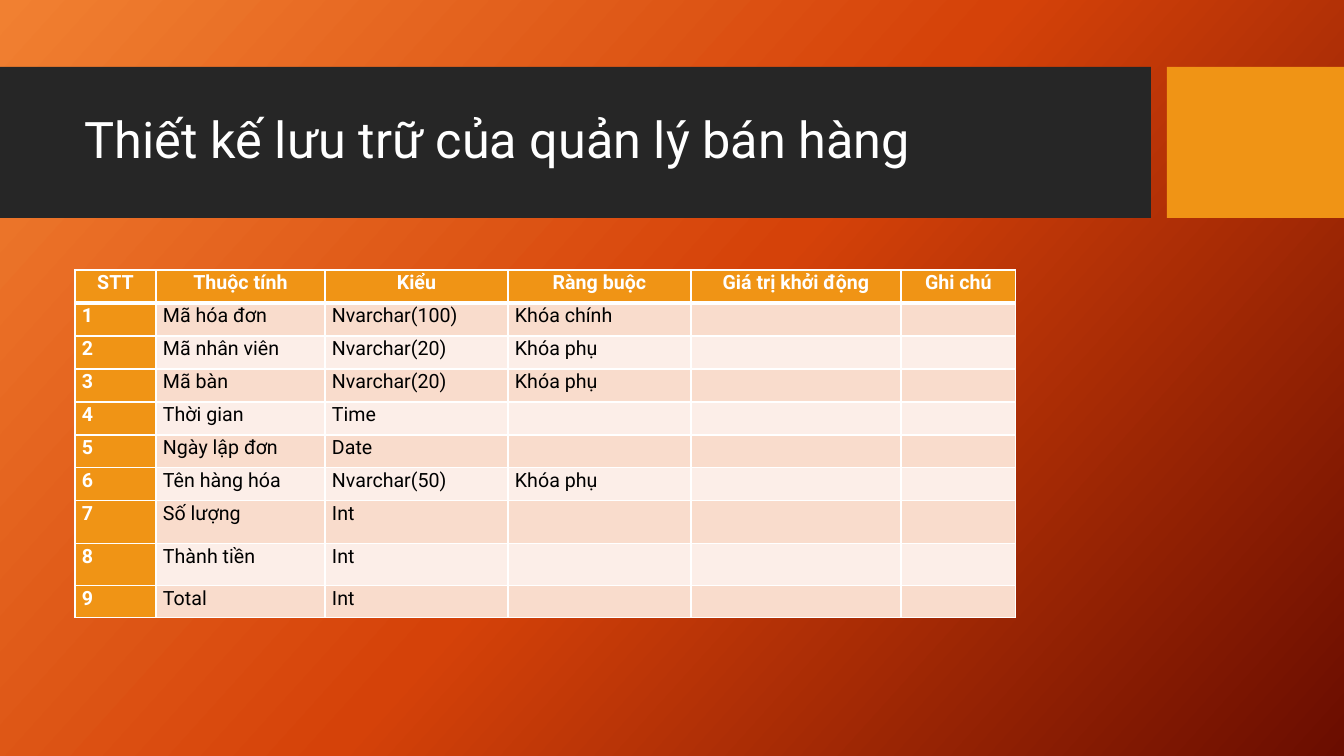
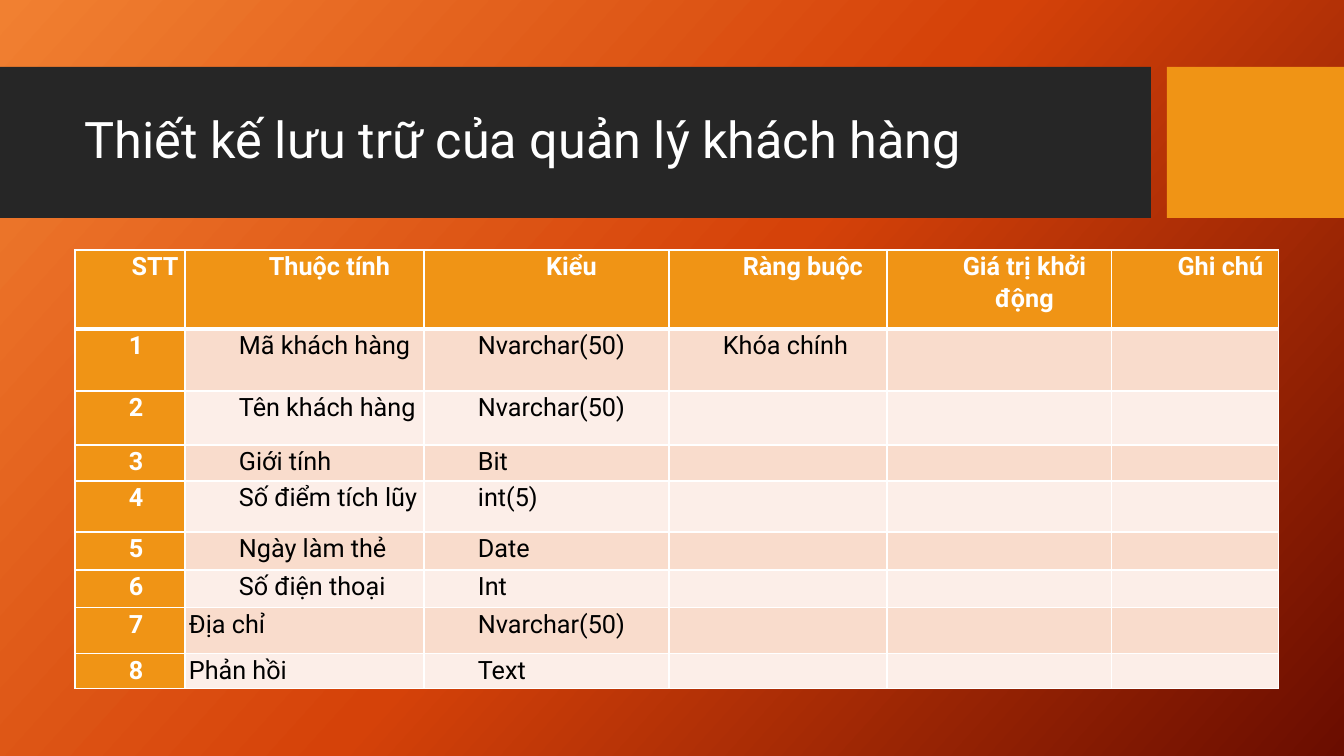
"""Build two slides describing the sales and customer storage tables."""
from copy import deepcopy
from dataclasses import dataclass

from lxml.etree import SubElement as Sub
from pptx import Presentation
from pptx.dml.color import RGBColor as RGB
from pptx.enum.shapes import MSO_SHAPE as SHAPE
from pptx.enum.text import MSO_ANCHOR as ANCHOR, PP_ALIGN as ALIGN
from pptx.oxml.ns import qn
from pptx.util import Pt


@dataclass(frozen=True)
class Theme:
    font: str = "Roboto"
    title_size: int = 36
    white: str = "FFFFFF"
    black: str = "000000"
    band: str = "262626"
    accent: str = "F09415"
    stripes: tuple = ("F9DCCC", "FCEEE8")
    gradient: tuple = ((0, "F18031"), (0.5, "D54209"), (1, "6A0D00"))
    angle: int = 42
    thin: int = 1
    thick: int = 3


T = Theme()
EMU_PER_PX = 914400 / 100.8
HEADERS = ["STT", "Thuộc tính", "Kiểu", "Ràng buộc", "Giá trị khởi động", "Ghi chú"]
BANDS = [(0, 1151, T.band), (1167, 177, T.accent)]
SLIDES = [
    dict(
        title="Thiết kế lưu trữ của quản lý bán hàng",
        top=270, size=14, margin=7, indent=0, after=8, flush=(),
        cols=[81, 169, 183, 183, 210, 115],
        heights=[33] * 7 + [43, 42, 32],
        rows=[
            ("Mã hóa đơn", "Nvarchar(100)", "Khóa chính"),
            ("Mã nhân viên", "Nvarchar(20)", "Khóa phụ"),
            ("Mã bàn", "Nvarchar(20)", "Khóa phụ"),
            ("Thời gian", "Time"),
            ("Ngày lập đơn", "Date"),
            ("Tên hàng hóa", "Nvarchar(50)", "Khóa phụ"),
            ("Số lượng", "Int"),
            ("Thành tiền", "Int"),
            ("Total", "Int"),
        ],
    ),
    dict(
        title="Thiết kế lưu trữ của quản lý khách hàng",
        top=250, size=18, margin=4, indent=50, after=0, flush=("Địa chỉ", "Phản hồi"),
        cols=[110, 239, 245, 218, 225, 167],
        heights=[79, 62, 54, 36, 51, 38, 38, 46, 35],
        rows=[
            ("Mã khách hàng", "Nvarchar(50)", "Khóa chính"),
            ("Tên khách hàng", "Nvarchar(50)"),
            ("Giới tính", "Bit"),
            ("Số điểm tích lũy", "int(5)"),
            ("Ngày làm thẻ", "Date"),
            ("Số điện thoại", "Int"),
            ("Địa chỉ", "Nvarchar(50)"),
            ("Phản hồi", "Text"),
        ],
    ),
]


def px(*lengths):
    emu = [round(n * EMU_PER_PX) for n in lengths]
    return emu if len(emu) > 1 else emu[0]


def add_run(p, text, size, color, bold=False):
    r = p.add_run()
    r.text = text
    r.font.name, r.font.size, r.font.bold = T.font, Pt(size), bold
    r.font.color.rgb = RGB.from_string(color)


prs = Presentation()
prs.slide_width, prs.slide_height = px(1344, 756)

bg = prs.slide_master.background.fill
bg.gradient()
bg.gradient_angle = 360 - T.angle
stops = prs.slide_master.element.find(".//" + qn("a:gsLst"))
stops.append(deepcopy(stops[0]))
for stop, (position, color) in zip(bg.gradient_stops, T.gradient):
    stop.position = position
    stop.color.rgb = RGB.from_string(color)

for data in SLIDES:
    s = prs.slides.add_slide(prs.slide_layouts[6])

    for left, width, color in BANDS:
        sp = s.shapes.add_shape(SHAPE.RECTANGLE, *px(left, 67, width, 151))
        sp.shadow.inherit = False
        sp.fill.solid()
        sp.fill.fore_color.rgb = RGB.from_string(color)
        sp.line.fill.background()

    tf = s.shapes.add_textbox(*px(75, 83, 1059, 119)).text_frame
    tf.word_wrap = True
    tf.vertical_anchor = ANCHOR.MIDDLE
    p = tf.paragraphs[0]
    p.line_spacing = 0.9
    add_run(p, data["title"], T.title_size, T.white)

    cols, heights = data["cols"], data["heights"]
    box = px(75, data["top"], sum(cols), sum(heights))
    tbl = s.shapes.add_table(len(heights), len(cols), *box).table
    for col, width in zip(tbl.columns, cols):
        col.width = px(width)
    for row, height in zip(tbl.rows, heights):
        row.height = px(height)

    grid = [HEADERS] + [[str(n), *row] for n, row in enumerate(data["rows"], 1)]
    for i, texts in enumerate(grid):
        for j in range(len(cols)):
            text = texts[j] if j < len(texts) else ""
            key = i == 0 or j == 0
            cell = tbl.cell(i, j)
            cell.margin_left = cell.margin_right = px(data["margin"])
            cell.margin_top = cell.margin_bottom = 0

            tcPr = cell._tc.get_or_add_tcPr()
            for side in "LRTB":
                heavy = (i, side) in ((0, "B"), (1, "T"))
                width = Pt(T.thick if heavy else T.thin)
                ln = Sub(tcPr, qn(f"a:ln{side}"), w=str(width))
                Sub(Sub(ln, qn("a:solidFill")), qn("a:srgbClr"), val=T.white)
            cell.fill.solid()
            fill = T.accent if key else T.stripes[(i - 1) % 2]
            cell.fill.fore_color.rgb = RGB.from_string(fill)

            p = cell.text_frame.paragraphs[0]
            p.alignment = ALIGN.CENTER if i == 0 else ALIGN.LEFT
            p.line_spacing = 1.07
            p.space_after = Pt(data["after"])
            if text:
                indent = 0 if text in data["flush"] else data["indent"]
                p._p.get_or_add_pPr().set("marL", str(px(indent)))
                add_run(p, text, data["size"], T.white if key else T.black, key)
            else:
                Sub(p._p, qn("a:endParaRPr"), sz=str(data["size"] * 100))

prs.save("out.pptx")
